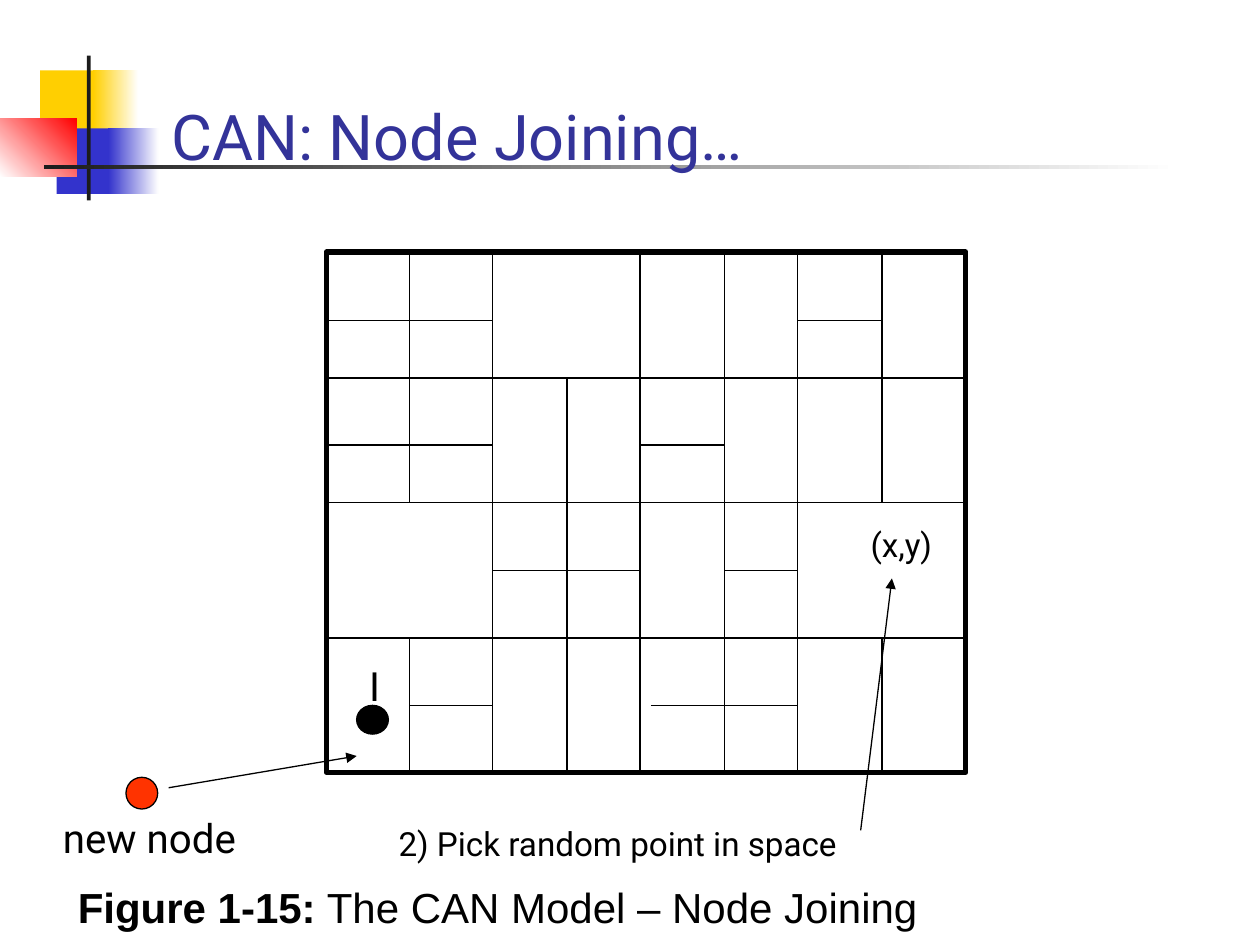
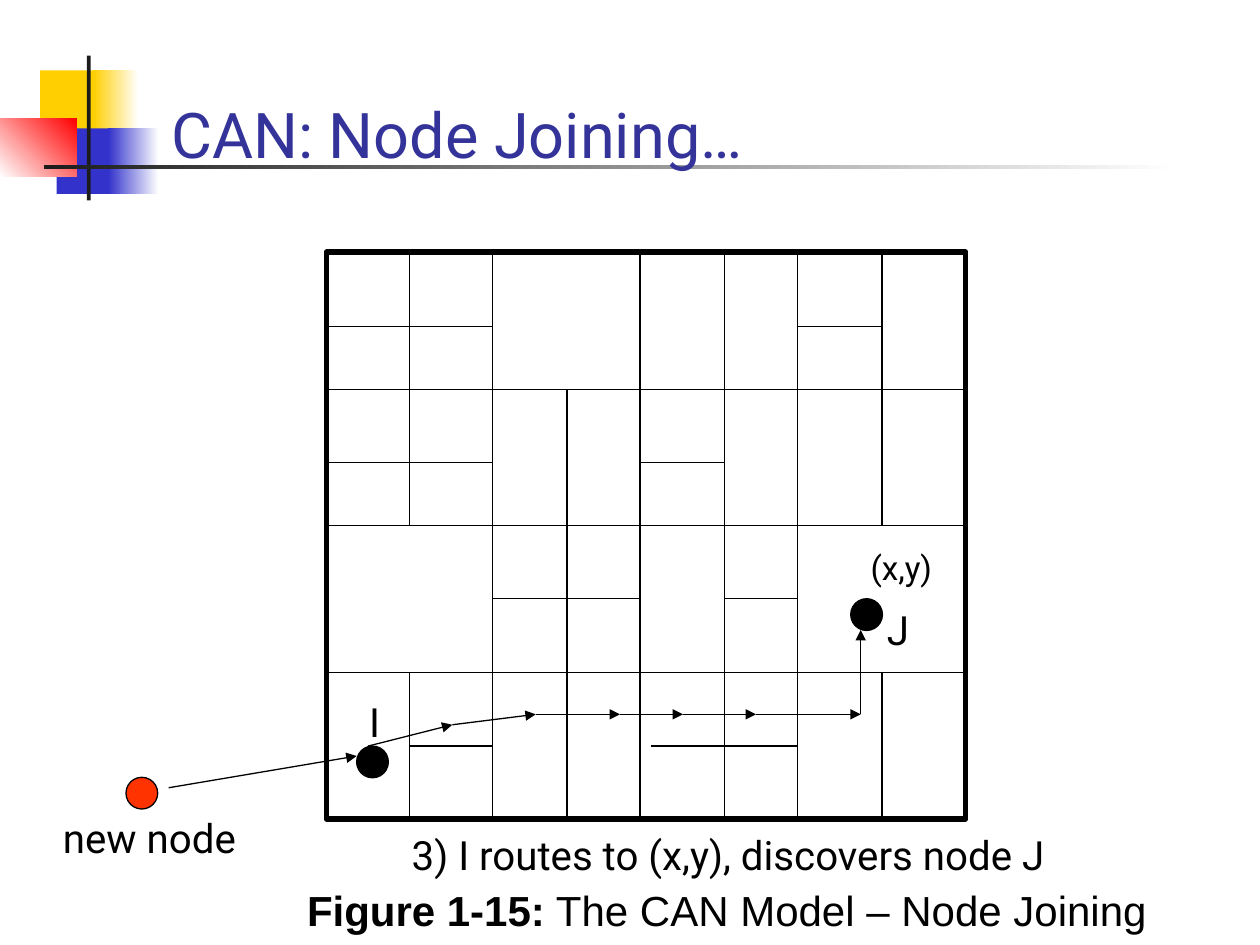
from itertools import pairwise

from lxml import etree
from pptx import Presentation
from pptx.dml.color import RGBColor
from pptx.enum.shapes import MSO_CONNECTOR, MSO_SHAPE
from pptx.enum.text import MSO_ANCHOR
from pptx.oxml.ns import qn
from pptx.util import Cm, Pt

RECTANGLE, OVAL = MSO_SHAPE.RECTANGLE, MSO_SHAPE.OVAL
STRAIGHT = MSO_CONNECTOR.STRAIGHT
TOP, BOTTOM = MSO_ANCHOR.TOP, MSO_ANCHOR.BOTTOM

BLACK, WHITE, INK = "000000", "FFFFFF", "1C1C1C"
YELLOW, BLUE, RED = "FFCF01", "3333CC", "FF0000"
TITLE_COLOR, NEW_NODE_COLOR = "333399", "FF3300"
BODY_FONT, CAPTION_FONT = "Roboto", "Arial"
THIN, THICK = 0.75, 3

TITLE = "CAN: Node Joining…"
CAPTION = ("Figure 1-15:", " The CAN Model – Node Joining")

BANDS = [
    ((0.81, 1.42, 1.22, 1.32), (YELLOW,), 0),
    ((1.88, 1.42, 0.91, 1.32), (YELLOW, WHITE), 0),
    ((1.14, 2.59, 1.17, 1.32), (BLUE,), 0),
    ((2.18, 2.59, 1.02, 1.32), (BLUE, WHITE), 0),
    ((0, 2.39, 1.55, 1.17), (WHITE, RED), 45),
    ((1.75, 1.12, 0.08, 2.92), (INK,), 0),
    ((0.89, 3.33, 22.86, 0.08), (INK, WHITE), 0),
]

BOARD_TOP, FULL_HEIGHT = 5.08, 11.43
COLUMNS = [6.58, 8.26, 9.93, 11.43, 12.9, 14.61, 16.08, 17.78, 19.47]
ROWS = [0, 1.5, 2.77, 4.24, 5.51, 6.99, 8.48, 9.96, FULL_HEIGHT]
COLUMN_WALLS = [
    (4, 0, 8), (6, 0, 8), (2, 0, 8),
    (5, 0, 2), (5, 2, 4), (5, 4, 6), (5, 6, 8),
    (1, 0, 2), (1, 2, 4), (1, 6, 8),
    (3, 2, 4), (3, 4, 6), (3, 6, 8),
    (7, 0, 2), (7, 2, 4), (7, 6, 8),
]
ROW_WALLS = [
    (2, 0, 8), (4, 0, 8), (6, 0, 8),
    (1, 0, 2), (1, 6, 7), (3, 0, 2), (3, 4, 5),
    (5, 2, 4), (5, 5, 6), (7, 1, 2), (7, 4.13, 6),
]

NEW_NODE = (2.54, 15.67, 0.64, 0.64)
NEW_NODE_LABEL = ("new node", (1.02, 16.28, 4.27, 1.22), 23)
JOIN_ROUTE = [(3.4, 15.88), (7.19, 15.24)]

SLIDES = [
    {
        "title_top": 1.27,
        "board_height": 10.49,
        "nodes": [(7.19, 14.22, 0.64, 0.58)],
        "labels": [
            (" 2) Pick random point in space", (7.62, 16.48, 11, 1.07), 19),
            ("I", (7.19, 13.21, 0.79, 1.22), 23),
            ("(x,y)", (17.3, 10.44, 1.78, 1.07), 19),
        ],
        "route": [(17.35, 16.74), (17.98, 11.66)],
        "caption": (1.32, 17.65, 23.52, 1.75),
    },
    {
        "title_top": 1.24,
        "board_height": FULL_HEIGHT,
        "nodes": [(7.19, 15.04, 0.64, 0.64), (17.15, 12.07, 0.64, 0.64)],
        "labels": [
            ("(x,y)", (17.3, 10.9, 1.78, 1.07), 19),
            ("3) I routes to (x,y), discovers node J", (8.05, 16.61, 13.97, 1.22), 23),
            ("I", (7.19, 13.94, 0.79, 1.22), 23),
            ("J", (17.63, 12.07, 0.74, 1.22), 23),
        ],
        "route": [
            (7.42, 15.04), (9.12, 14.61), (10.8, 14.4), (12.5, 14.4),
            (13.77, 14.4), (15.24, 14.4), (17.35, 14.4), (17.35, 12.7),
        ],
        "caption": (5.94, 17.7, 18.16, 1.75),
    },
]


def rgb(color):
    return RGBColor.from_string(color)


def place(area):
    return [Cm(length) for length in area]


def add_figure(page, kind, area, colors=(), angle=0, line_width=0):
    shape = page.shapes.add_shape(kind, *place(area))
    shape.shadow.inherit = False
    if len(colors) == 2:
        shape.fill.gradient()
        shape.fill.gradient_angle = angle
        for stop, color in zip(shape.fill.gradient_stops, colors):
            stop.color.rgb = rgb(color)
    elif colors:
        shape.fill.solid()
        shape.fill.fore_color.rgb = rgb(colors[0])
    else:
        shape.fill.background()
    if line_width:
        shape.line.color.rgb = rgb(BLACK)
        shape.line.width = Pt(line_width)
    else:
        shape.line.fill.background()


def add_line(page, start, end, arrow=False):
    line = page.shapes.add_connector(STRAIGHT, *place(start + end))
    line.line.color.rgb = rgb(BLACK)
    line.line.width = Pt(THIN)
    if arrow:
        etree.SubElement(line.line._get_or_add_ln(), qn("a:tailEnd"), type="triangle")
    etree.SubElement(line._element.spPr, qn("a:effectLst"))


def add_route(page, points):
    for start, end in pairwise(points):
        add_line(page, start, end, arrow=True)


def add_text(page, spans, area, size, font=BODY_FONT, color=BLACK, wrap=False, anchor=TOP):
    box = page.shapes.add_textbox(*place(area))
    frame = box.text_frame
    frame.word_wrap = wrap
    frame.vertical_anchor = anchor
    para = frame.paragraphs[0]
    para.font.name = font
    para.font.size = Pt(size)
    para.font.color.rgb = rgb(color)
    for text in spans:
        para.add_run().text = text
    return para


def position(stops, index):
    whole = min(int(index), len(stops) - 2)
    return stops[whole] + (index - whole) * (stops[whole + 1] - stops[whole])


def add_board(page, height):
    rows = [BOARD_TOP + offset * height / FULL_HEIGHT for offset in ROWS]
    width = COLUMNS[-1] - COLUMNS[0]
    add_figure(page, RECTANGLE, (COLUMNS[0], BOARD_TOP, width, height), line_width=THICK)
    for column, first, last in COLUMN_WALLS:
        add_line(page, (COLUMNS[column], rows[first]), (COLUMNS[column], rows[last]))
    for row, first, last in ROW_WALLS:
        add_line(page, (position(COLUMNS, first), rows[row]),
                 (position(COLUMNS, last), rows[row]))


def add_caption(page, area):
    para = add_text(page, CAPTION, area, 24, CAPTION_FONT, wrap=True)
    para.space_before = Pt(6)
    para.runs[0].font.bold = True


def add_page(deck, content):
    page = deck.slides.add_slide(deck.slide_layouts[6])
    for area, colors, angle in BANDS:
        add_figure(page, RECTANGLE, area, colors, angle)
    add_text(page, [TITLE], (3.2, content["title_top"], 21.64, 2.34), 36,
             color=TITLE_COLOR, wrap=True, anchor=BOTTOM)
    add_board(page, content["board_height"])
    for area in content["nodes"]:
        add_figure(page, OVAL, area, (BLACK,), line_width=THIN)
    add_figure(page, OVAL, NEW_NODE, (NEW_NODE_COLOR,), line_width=THIN)
    add_route(page, content["route"])
    add_route(page, JOIN_ROUTE)
    for text, area, size in content["labels"] + [NEW_NODE_LABEL]:
        add_text(page, [text], area, size)
    add_caption(page, content["caption"])


def main():
    deck = Presentation()
    deck.slide_width, deck.slide_height = Cm(25.4), Cm(19.05)
    for content in SLIDES:
        add_page(deck, content)
    deck.save("out.pptx")


if __name__ == "__main__":
    main()
